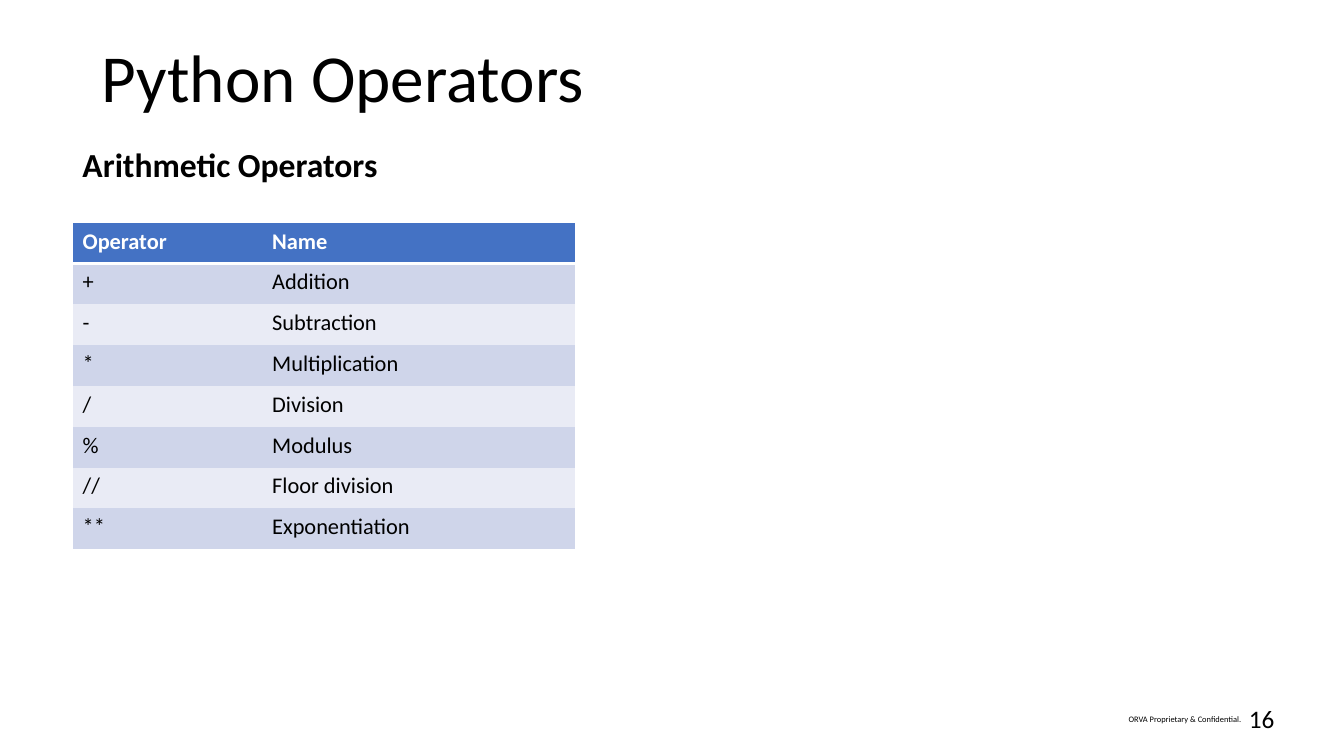
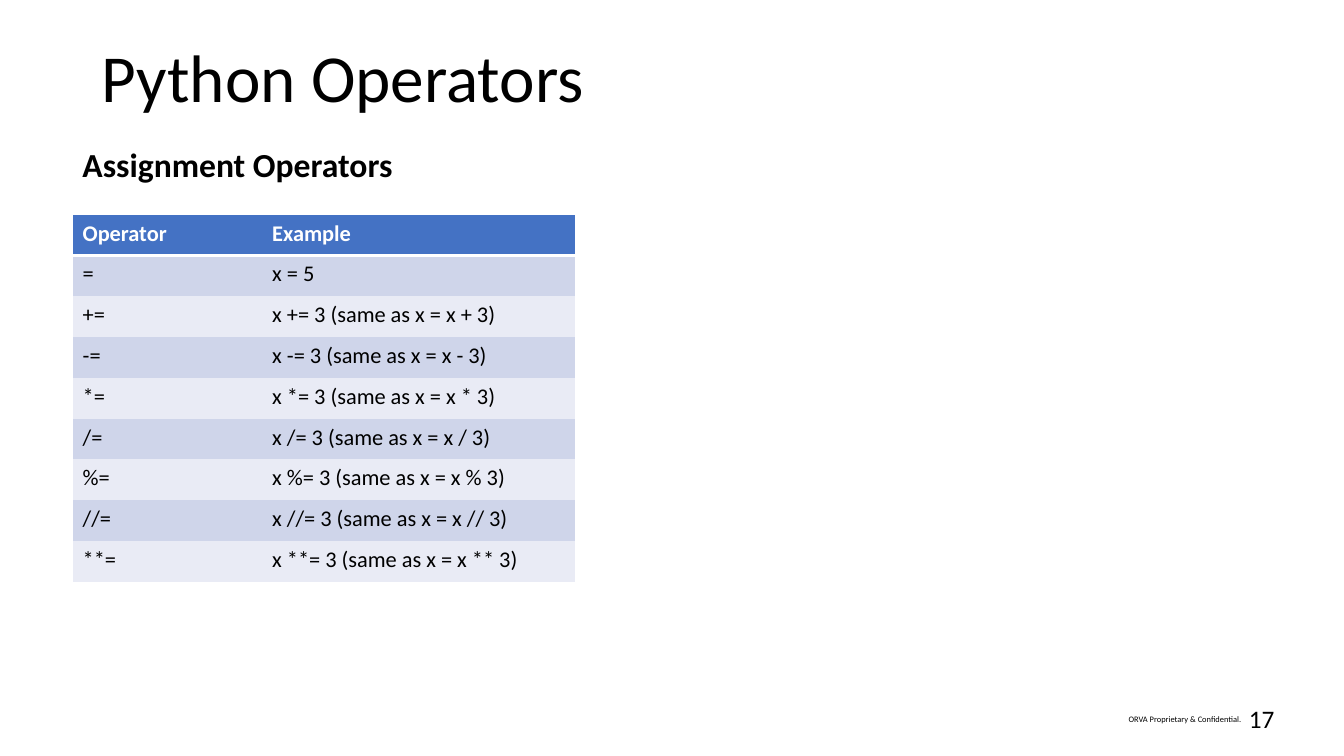
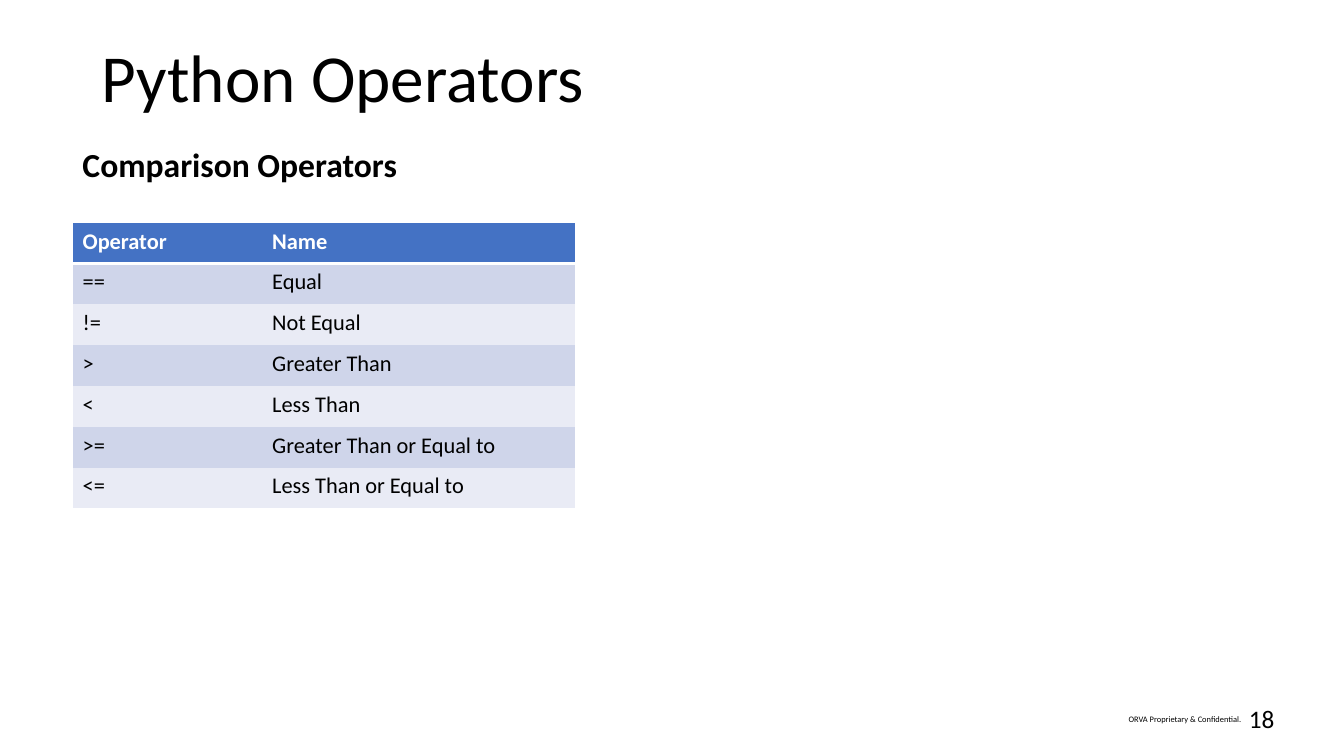
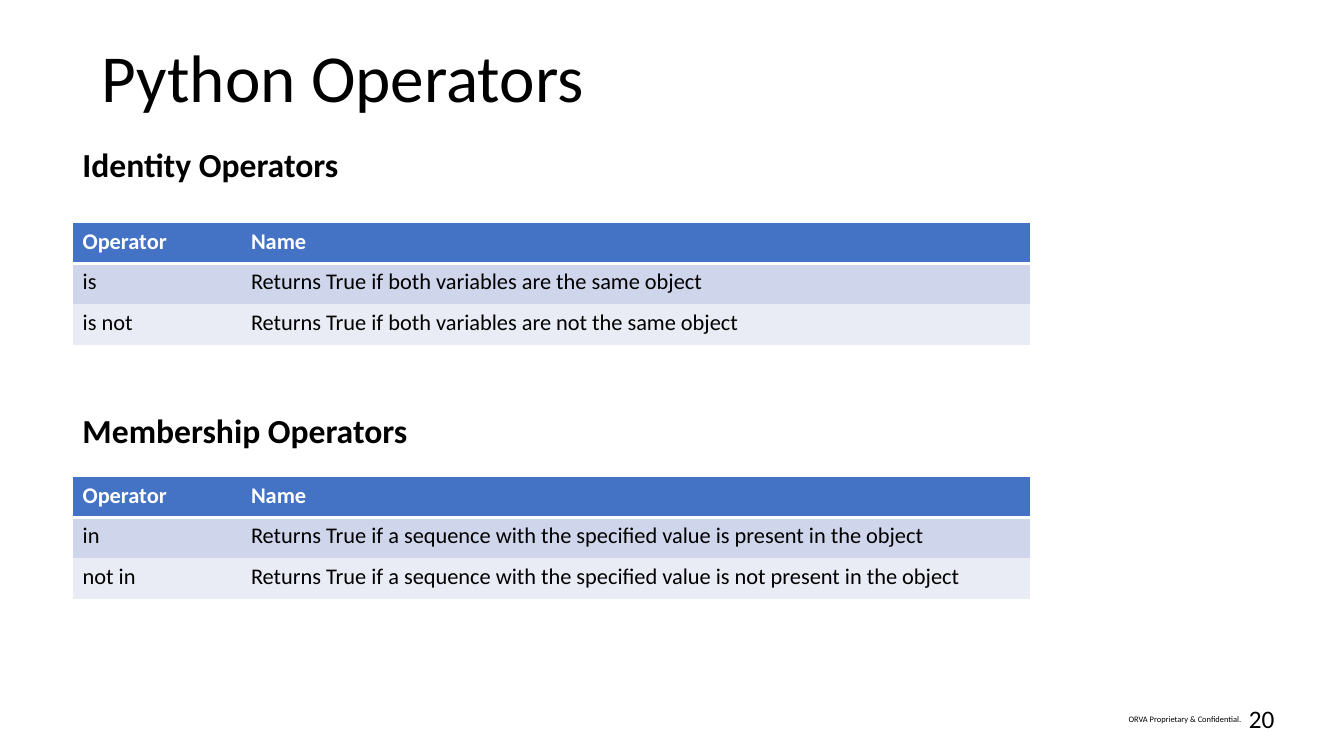
from lxml.etree import SubElement
from pptx import Presentation
from pptx.dml.color import RGBColor
from pptx.enum.text import MSO_ANCHOR, MSO_AUTO_SIZE, PP_ALIGN
from pptx.oxml.ns import qn
from pptx.util import Inches, Pt

FONT = "Calibri"
BLACK = RGBColor(0x00, 0x00, 0x00)
FOOTER_BLACK = RGBColor(0x01, 0x00, 0x00)
WHITE = RGBColor(0xFF, 0xFF, 0xFF)
HEADER_BLUE = RGBColor(0x44, 0x72, 0xC4)
BAND_DARK = RGBColor(0xCF, 0xD5, 0xEA)
BAND_LIGHT = RGBColor(0xE9, 0xEB, 0xF5)

PLAIN_TABLE_STYLE = "{2D5ABB26-0587-4C30-8999-92F81FD0307C}"
LEFT = Inches(0.72)
ROW_HEIGHT = int(Inches(3.24) / 8)
NARROW = (1.88, 3.1)
WIDE = (1.67, 7.83)

# Each page: number, then sections of
# heading, heading top, table top, column widths, table rows
PAGES = [
    (16, [("Arithmetic Operators", 1.38, 2.21, NARROW, [
        ("Operator", "Name"),
        ("+", "Addition"),
        ("-", "Subtraction"),
        ("*", "Multiplication"),
        ("/", "Division"),
        ("%", "Modulus"),
        ("//", "Floor division"),
        ("**", "Exponentiation"),
    ])]),
    (17, [("Assignment Operators", 1.38, 2.13, NARROW, [
        ("Operator", "Example"),
        ("=", "x = 5"),
        ("+=", "x += 3 (same as x = x + 3)"),
        ("-=", "x -= 3 (same as x = x - 3)"),
        ("*=", "x *= 3 (same as x = x * 3)"),
        ("/=", "x /= 3 (same as x = x / 3)"),
        ("%=", "x %= 3 (same as x = x % 3)"),
        ("//=", "x //= 3 (same as x = x // 3)"),
        ("**=", "x **= 3 (same as x = x ** 3)"),
    ])]),
    (18, [("Comparison Operators", 1.38, 2.21, NARROW, [
        ("Operator", "Name"),
        ("==", "Equal"),
        ("!=", "Not Equal"),
        (">", "Greater Than"),
        ("<", "Less Than"),
        (">=", "Greater Than or Equal to"),
        ("<=", "Less Than or Equal to"),
    ])]),
    (20, [
        ("Identity Operators", 1.38, 2.21, WIDE, [
            ("Operator", "Name"),
            ("is", "Returns True if both variables are the same object"),
            ("is not", "Returns True if both variables are not the same object"),
        ]),
        ("Membership Operators", 4.02, 4.73, WIDE, [
            ("Operator", "Name"),
            ("in", "Returns True if a sequence with the specified value "
                   "is present in the object"),
            ("not in", "Returns True if a sequence with the specified value "
                       "is not present in the object"),
        ]),
    ]),
]


def write(frame, text, size, color=BLACK, bold=False, align=PP_ALIGN.LEFT):
    para = frame.paragraphs[0]
    para.alignment = align
    span = para.add_run()
    span.text = text
    span.font.name = FONT
    span.font.size = Pt(size)
    span.font.bold = bold
    span.font.color.rgb = color


def fit_frame(frame, anchor, wrap=True):
    frame.word_wrap = wrap
    frame.auto_size = MSO_AUTO_SIZE.NONE
    frame.vertical_anchor = anchor
    frame.margin_left = frame.margin_right = 0
    frame.margin_top = frame.margin_bottom = 0


deck = Presentation()
deck.slide_width = Inches(13.33)
deck.slide_height = Inches(7.5)

for number, sections in PAGES:
    page = deck.slides.add_slide(deck.slide_layouts[5])

    # Title
    title = page.shapes.title
    title.left, title.top = Inches(1.01), Inches(0.35)
    title.width, title.height = Inches(8.02), Inches(0.7)
    fit_frame(title.text_frame, MSO_ANCHOR.TOP)
    write(title.text_frame, "Python Operators", 48)

    # Footer and page number
    for text, left, width, size, color in [
        ("ORVA Proprietary & Confidential.", 10.43, 1.88, 6, FOOTER_BLACK),
        (str(number), 12.37, 0.27, 18, BLACK),
    ]:
        box = page.shapes.add_textbox(
            Inches(left), Inches(7.01), Inches(width), Inches(0.24))
        fit_frame(box.text_frame, MSO_ANCHOR.MIDDLE, wrap=size < 18)
        write(box.text_frame, text, size, color, align=PP_ALIGN.RIGHT)

    for heading, heading_top, table_top, widths, rows in sections:
        # Section heading
        box = page.shapes.add_textbox(
            LEFT, Inches(heading_top), Inches(6.67), Inches(0.5))
        box.text_frame.word_wrap = True
        write(box.text_frame, heading, 24, bold=True)

        # Operator table
        table = page.shapes.add_table(
            len(rows), len(widths), LEFT, Inches(table_top),
            Inches(sum(widths)), ROW_HEIGHT * len(rows)).table
        table._tbl.tblPr.find(qn("a:tableStyleId")).text = PLAIN_TABLE_STYLE
        for column, width in zip(table.columns, widths):
            column.width = Inches(width)

        for row_index, row in enumerate(rows):
            table.rows[row_index].height = ROW_HEIGHT
            is_header = row_index == 0
            band = BAND_DARK if row_index % 2 else BAND_LIGHT
            for column_index, text in enumerate(row):
                cell = table.cell(row_index, column_index)
                write(cell.text_frame, text, 16,
                      WHITE if is_header else BLACK, bold=is_header)
                if is_header:
                    # White rule under the header, placed before the fill
                    rule = SubElement(cell._tc.get_or_add_tcPr(),
                                      qn("a:lnB"), w=str(Pt(3)))
                    rule_fill = SubElement(rule, qn("a:solidFill"))
                    SubElement(rule_fill, qn("a:srgbClr"), val=str(WHITE))
                cell.fill.solid()
                cell.fill.fore_color.rgb = HEADER_BLUE if is_header else band

deck.save("out.pptx")
